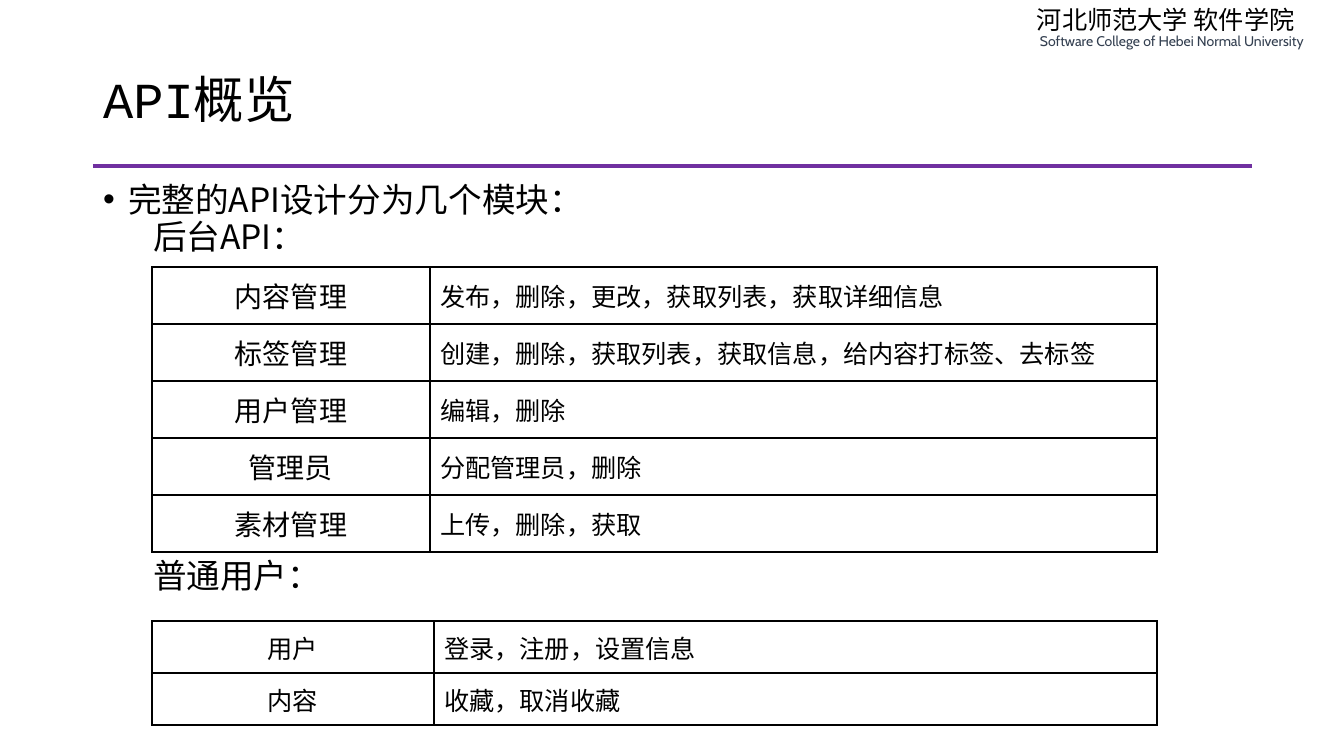
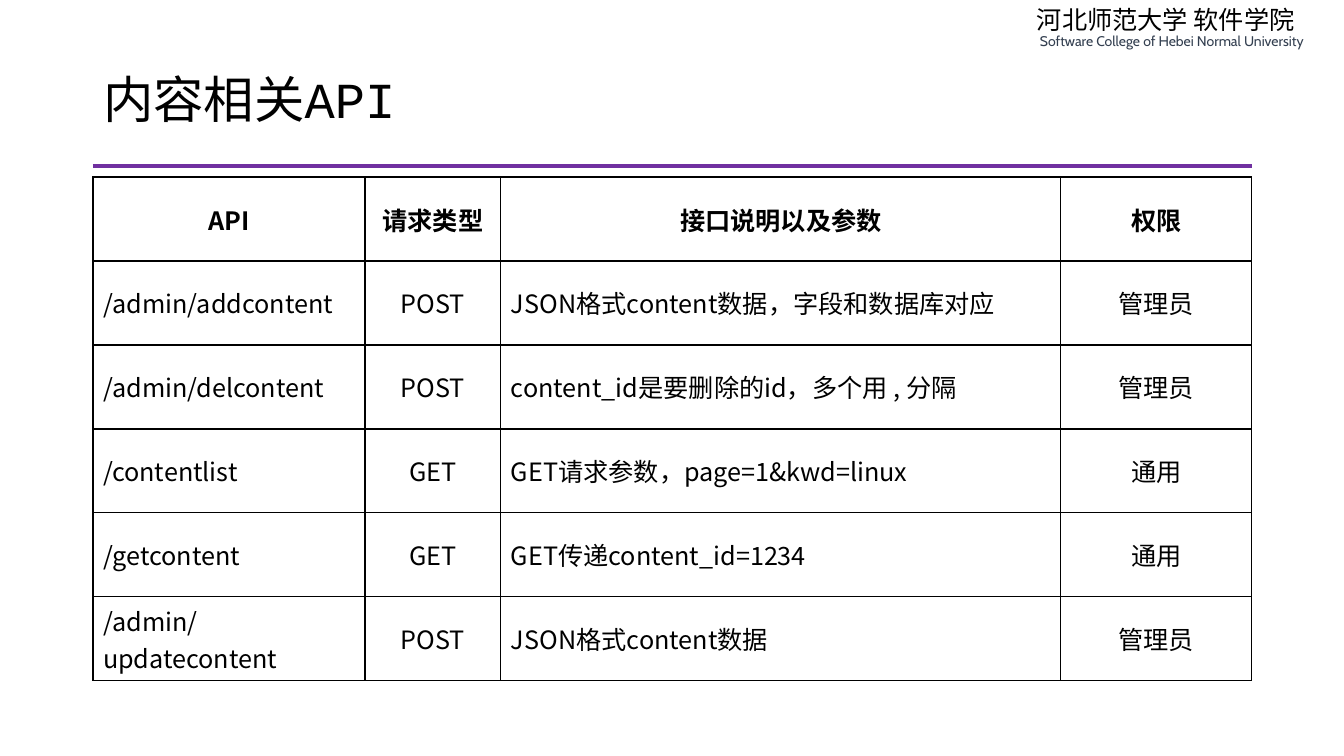
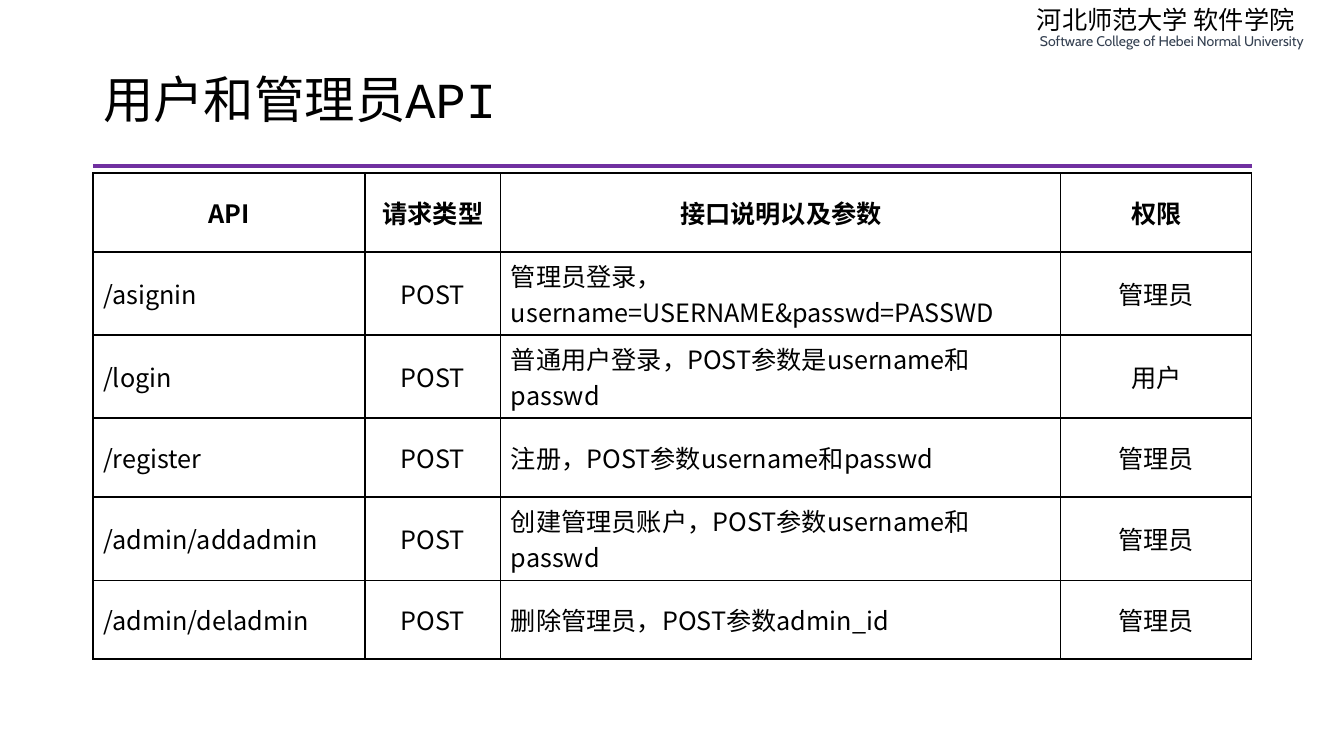
import dataclasses

import pptx
import pptx.dml.color
import pptx.enum.shapes
import pptx.enum.text
import pptx.oxml.ns
import pptx.util
from lxml import etree

ALIGN = {
    "l": pptx.enum.text.PP_ALIGN.LEFT,
    "c": pptx.enum.text.PP_ALIGN.CENTER,
}


@dataclasses.dataclass(frozen=True)
class Theme:
    black: str = "000000"
    slate: str = "333F50"
    rule: str = "7030A0"
    sans: str = "Noto Sans CJK SC"
    school: str = "Noto Sans CJK JP"
    mono: str = "Courier New"
    latin: str = "Cabin"
    title: int = 36
    body: int = 24
    large: int = 20
    text: int = 18
    small: int = 10
    border: int = 1
    left: int = 93
    width: int = 1159


THEME = Theme()


def px(num):
    return pptx.util.Emu(round(num * 914400 / 100.8))


def qn(tag):
    return pptx.oxml.ns.qn(tag)


def color(code):
    return pptx.dml.color.RGBColor.from_string(code)


def style(para, size, face=THEME.sans, asian=THEME.sans, ink=THEME.black, bold=False):
    font = para.font
    font.size = pptx.util.Pt(size)
    font.name = face
    font.bold = bold
    font.color.rgb = color(ink)
    props = para._p.find(".//" + qn("a:defRPr"))
    etree.SubElement(props, qn("a:ea")).set("typeface", asian)


def space(para, lines, before=0):
    para.line_spacing = lines
    para.space_before = pptx.util.Pt(before)
    para.space_after = pptx.util.Pt(0)


def indent(para, left, first=0):
    props = para._p.get_or_add_pPr()
    props.set("marL", str(px(left)))
    props.set("indent", str(px(first)))
    return props


def place(shape, left, top, width, height):
    shape.left, shape.top = px(left), px(top)
    shape.width, shape.height = px(width), px(height)


def add_school(slide):
    box = slide.shapes.add_textbox(px(1027), px(3), px(303), px(57))
    frame = box.text_frame
    frame.word_wrap = True
    name = frame.paragraphs[0]
    name.text = "河北师范大学 软件学院"
    space(name, 0.9)
    style(name, THEME.text, THEME.school, THEME.school)
    label = frame.add_paragraph()
    label.text = "Software College of Hebei Normal University"
    indent(label, 3)
    space(label, 0.85)
    style(label, THEME.small, THEME.latin, THEME.school, THEME.slate)
    return box


def add_rule(slide):
    end = THEME.left + THEME.width
    line = slide.shapes.add_connector(
        pptx.enum.shapes.MSO_CONNECTOR.STRAIGHT,
        px(THEME.left), px(166), px(end), px(166))
    line.line.color.rgb = color(THEME.rule)
    line.line.width = pptx.util.Pt(2.25)
    etree.SubElement(line.element.spPr, qn("a:effectLst"))
    return line


def share(deck, slide):
    tree = deck.slide_master.shapes.element
    for num, shape in enumerate((add_school(slide), add_rule(slide)), 101):
        shape.element.xpath(".//p:cNvPr")[0].set("id", str(num))
        tree.append(shape.element)


def add_slide(deck, layout, title):
    slide = deck.slides.add_slide(deck.slide_layouts.get_by_name(layout))
    head = slide.shapes.title
    place(head, THEME.left, 76, THEME.width, 81)
    frame = head.text_frame
    frame.text = title
    frame.auto_size = pptx.enum.text.MSO_AUTO_SIZE.NONE
    frame.vertical_anchor = pptx.enum.text.MSO_ANCHOR.TOP
    para = frame.paragraphs[0]
    para.alignment = ALIGN["l"]
    space(para, 0.78)
    style(para, THEME.title, THEME.mono)
    return slide


def add_list(slide, items):
    body = slide.placeholders[1]
    place(body, THEME.left, 182, THEME.width, 534)
    frame = body.text_frame
    frame.auto_size = pptx.enum.text.MSO_AUTO_SIZE.NONE
    for num, (text, level, before) in enumerate(items):
        para = frame.add_paragraph() if num else frame.paragraphs[0]
        para.text = text
        para.level = level
        space(para, 0.8, before)
        if level:
            etree.SubElement(indent(para, 50), qn("a:buNone"))
        else:
            etree.SubElement(indent(para, 25, -25), qn("a:buChar")).set("char", "•")
        style(para, THEME.body)


def frame_cell(cell):
    props = cell._tc.get_or_add_tcPr()
    for side in "LRTB":
        line = etree.SubElement(props, qn("a:ln" + side))
        line.set("w", str(pptx.util.Pt(THEME.border)))
        fill = etree.SubElement(line, qn("a:solidFill"))
        etree.SubElement(fill, qn("a:srgbClr")).set("val", THEME.black)
    cell.fill.background()


def add_table(slide, left, top, high, cols, rows, align, sizes, head=False):
    table = slide.shapes.add_table(
        len(rows), len(cols), px(left), px(top),
        px(sum(cols)), px(high * len(rows))).table
    table.first_row = table.horz_banding = False
    for col, wide in zip(table.columns, cols):
        col.width = px(wide)
    for y, row in enumerate(rows):
        top_row = head and y == 0
        for x, text in enumerate(row):
            cell = table.cell(y, x)
            cell.text = text
            cell.vertical_anchor = pptx.enum.text.MSO_ANCHOR.MIDDLE
            para = cell.text_frame.paragraphs[0]
            para.alignment = ALIGN["c" if top_row else align[x]]
            style(para, sizes[x], bold=top_row)
            frame_cell(cell)


def add_grid(slide, top, high, rows):
    head = ("API", "请求类型", "接口说明以及参数", "权限")
    add_table(slide, THEME.left, top, high, (272, 136, 560, 191),
              [head] + rows, "lclc", [THEME.text] * 4, head=True)


def main():
    deck = pptx.Presentation()
    deck.slide_width, deck.slide_height = px(1344), px(756)

    slide = add_slide(deck, "Title and Content", "API概览")
    share(deck, slide)
    add_list(slide, [
        ("完整的API设计分为几个模块：", 0, 0),
        ("后台API：", 1, 3),
        ("普通用户：", 1, 219),
    ])
    add_table(slide, 152, 267, 57, (278, 727), [
        ("内容管理", "发布，删除，更改，获取列表，获取详细信息"),
        ("标签管理", "创建，删除，获取列表，获取信息，给内容打标签、去标签"),
        ("用户管理", "编辑，删除"),
        ("管理员", "分配管理员，删除"),
        ("素材管理", "上传，删除，获取"),
    ], "cl", (THEME.large, THEME.text))
    add_table(slide, 152, 621, 52, (282, 723), [
        ("用户", "登录，注册，设置信息"),
        ("内容", "收藏，取消收藏"),
    ], "cl", (THEME.text, THEME.text))

    slide = add_slide(deck, "Title Only", "内容相关API")
    add_grid(slide, 177, 84, [
        ("/admin/addcontent", "POST", "JSON格式content数据，字段和数据库对应", "管理员"),
        ("/admin/delcontent", "POST", "content_id是要删除的id，多个用 , 分隔", "管理员"),
        ("/contentlist", "GET", "GET请求参数，page=1&kwd=linux", "通用"),
        ("/getcontent", "GET", "GET传递content_id=1234", "通用"),
        ("/admin/updatecontent", "POST", "JSON格式content数据", "管理员"),
    ])

    slide = add_slide(deck, "Title Only", "用户和管理员API")
    add_grid(slide, 173, 79, [
        ("/asignin", "POST", "管理员登录，username=USERNAME&passwd=PASSWD", "管理员"),
        ("/login", "POST", "普通用户登录，POST参数是username和passwd", "用户"),
        ("/register", "POST", "注册，POST参数username和passwd", "管理员"),
        ("/admin/addadmin", "POST", "创建管理员账户，POST参数username和passwd", "管理员"),
        ("/admin/deladmin", "POST", "删除管理员，POST参数admin_id", "管理员"),
    ])

    deck.save("out.pptx")


if __name__ == "__main__":
    main()
